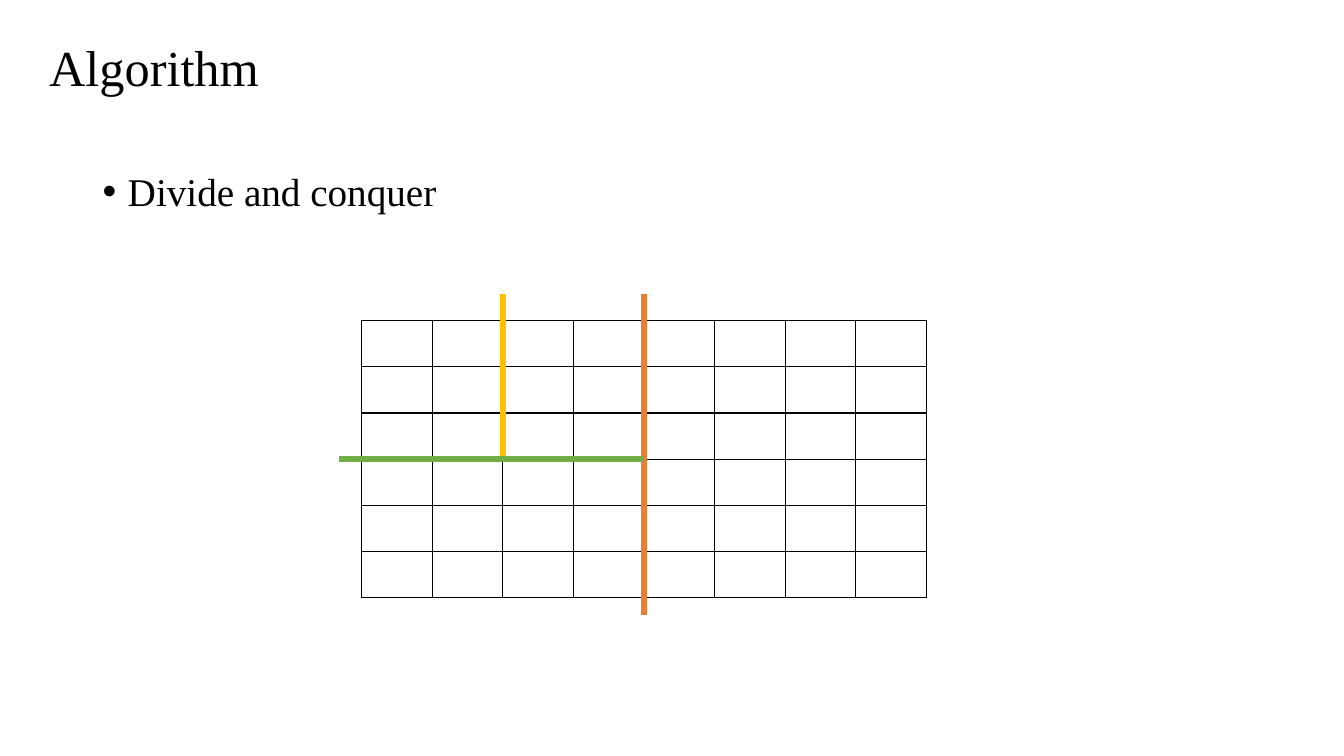
from dataclasses import dataclass

from lxml import etree
from pptx import Presentation
from pptx.dml.color import RGBColor
from pptx.enum.shapes import MSO_CONNECTOR
from pptx.enum.text import MSO_ANCHOR
from pptx.oxml.ns import qn
from pptx.util import Pt

STRAIGHT = MSO_CONNECTOR.STRAIGHT
TOP, MIDDLE = MSO_ANCHOR.TOP, MSO_ANCHOR.MIDDLE


@dataclass(frozen=True)
class Theme:
    font: str = "Times New Roman"
    title_size: float = 36
    body_size: float = 28
    background: str = "FFFFFF"
    ink: str = "000000"
    first_cut: str = "ED7D31"
    second_cut: str = "70AD47"
    third_cut: str = "FFC000"
    border_width: float = 1
    cut_width: float = 4.5


THEME = Theme()


def set_attributes(target, values):
    for name, value in values.items():
        setattr(target, name, value)


def add_text(slide, box, text, size, anchor, bullet_indent=0):
    """Place one line of text, with a bullet if an indent is given."""
    shape = slide.shapes.add_textbox(*map(Pt, box))
    frame = shape.text_frame
    set_attributes(frame, {"word_wrap": True, "vertical_anchor": anchor})
    paragraph = frame.paragraphs[0]
    paragraph.text = text
    paragraph.line_spacing = 0.9
    if bullet_indent:
        properties = paragraph._p.get_or_add_pPr()
        properties.set("marL", str(Pt(bullet_indent)))
        properties.set("indent", str(-Pt(bullet_indent)))
        etree.SubElement(properties, qn("a:buFont"), typeface="Arial")
        etree.SubElement(properties, qn("a:buChar"), char="•")
    font = paragraph.runs[0].font
    set_attributes(font, {"name": THEME.font, "size": Pt(size)})
    font.color.rgb = RGBColor.from_string(THEME.ink)


def add_borders(cell):
    properties = cell._tc.get_or_add_tcPr()
    # Borders come before the fill in the cell properties
    for index, side in enumerate(("lnL", "lnR", "lnT", "lnB")):
        border = etree.Element(qn(f"a:{side}"), w=str(Pt(THEME.border_width)))
        fill = etree.SubElement(border, qn("a:solidFill"))
        etree.SubElement(fill, qn("a:srgbClr"), val=THEME.ink)
        properties.insert(index, border)


def add_grid(slide, box, rows, columns):
    """Draw an empty table with equal cells."""
    left, top, width, height = box
    table = slide.shapes.add_table(rows, columns, *map(Pt, box)).table
    set_attributes(table, {"first_row": False, "horz_banding": False})
    for column in table.columns:
        column.width = Pt(width / columns)
    for row in table.rows:
        row.height = Pt(height / rows)
    for cell in table.iter_cells():
        cell.fill.background()
        add_borders(cell)


def add_cut(slide, start, end, color):
    connector = slide.shapes.add_connector(STRAIGHT, *map(Pt, (*start, *end)))
    connector.line.width = Pt(THEME.cut_width)
    connector.line.color.rgb = RGBColor.from_string(color)
    etree.SubElement(connector._element.spPr, qn("a:effectLst"))


def add_divided_grid(slide, box, rows, columns):
    """Draw the grid and the three cuts that halve it in turn."""
    left, top, width, height = box
    add_grid(slide, box, rows, columns)
    center, quarter, middle = left + width / 2, left + width / 4, top + height / 2
    above, below, outside = top - 18.7, top + height + 12, left - 16.6
    add_cut(slide, (center, above), (center, below), THEME.first_cut)
    add_cut(slide, (quarter, above), (quarter, middle), THEME.third_cut)
    add_cut(slide, (center, middle), (outside, middle), THEME.second_cut)


def add_algorithm_slide(presentation):
    slide = presentation.slides.add_slide(presentation.slide_layouts[6])
    fill = slide.background.fill
    fill.solid()
    fill.fore_color.rgb = RGBColor.from_string(THEME.background)
    # Heading and bullet
    add_text(slide, (66.2, 119.5, 828, 60), "Divide and conquer",
             THEME.body_size, TOP, bullet_indent=18)
    add_text(slide, (28, 20, 354, 60), "Algorithm", THEME.title_size, MIDDLE)
    # Grid with its cuts
    add_divided_grid(slide, (258.4, 229, 403.2, 198), rows=6, columns=8)


def main():
    presentation = Presentation()
    set_attributes(presentation, {"slide_width": Pt(960), "slide_height": Pt(540)})
    add_algorithm_slide(presentation)
    presentation.save("out.pptx")


if __name__ == "__main__":
    main()
